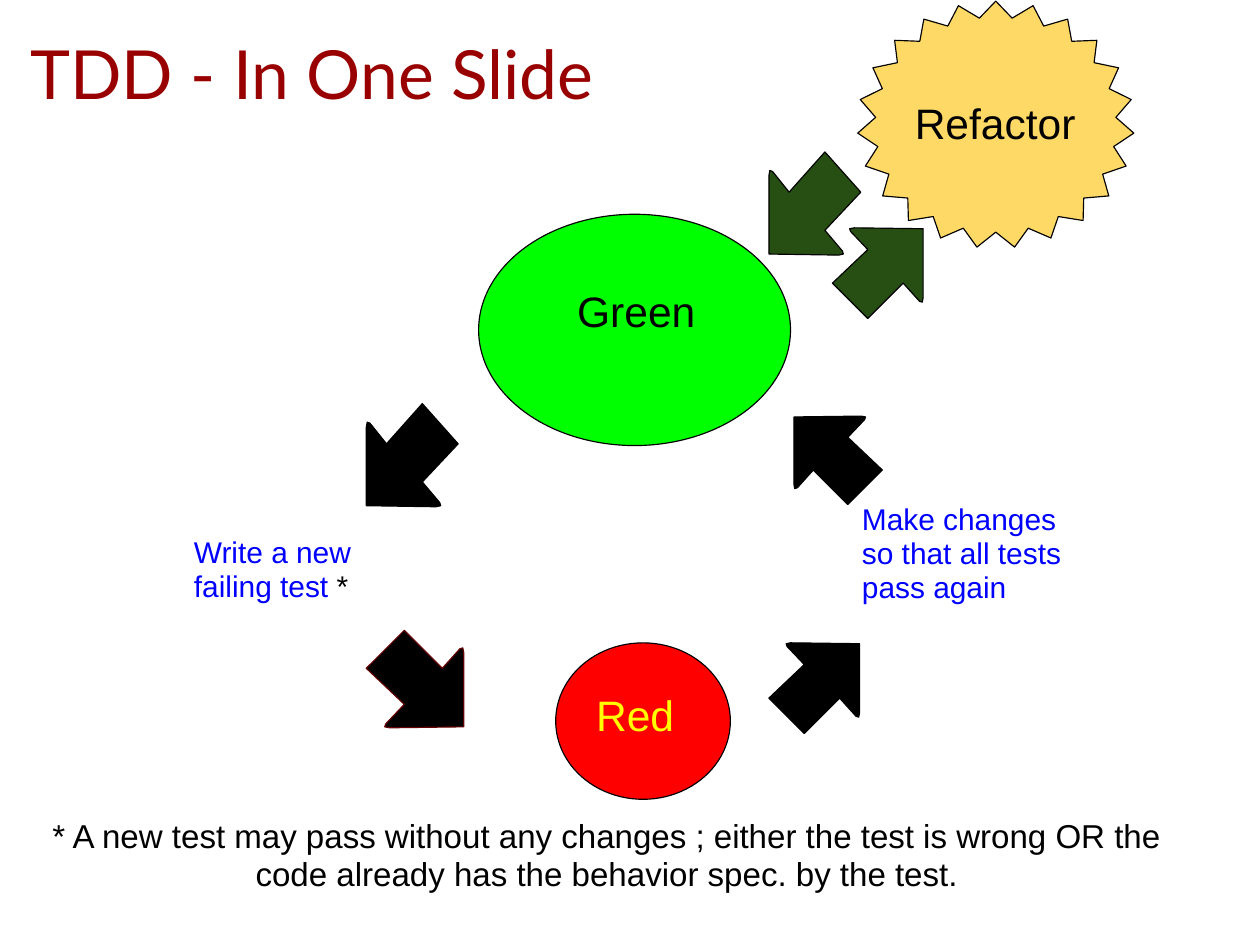
import math
from dataclasses import dataclass

import pptx
import pptx.dml.color
import pptx.enum.shapes
import pptx.enum.text
import pptx.util

Inches = pptx.util.Inches
Align = pptx.enum.text.PP_ALIGN

BLACK = "000000"
BLUE = "0000FF"
DARK_GREEN = "274E13"

# Outline of an arrow to the upper right, as fractions of its box
ARROW_OUTLINE = [
    (0, 0.61), (0.39, 0.24), (0.2, 0.04), (0.19, 0.01), (0.24, 0),
    (1, 0.01), (1, 0.77), (0.99, 0.82), (0.96, 0.81), (0.78, 0.61), (0.39, 1),
]


@dataclass
class Box:
    left: float
    top: float
    width: float
    height: float

    def inches(self) -> list:
        return [Inches(v) for v in (self.left, self.top, self.width, self.height)]


@dataclass
class Arrow:
    box: Box
    to_left: bool
    to_bottom: bool
    fill: str = BLACK
    line: str = BLACK


@dataclass
class State:
    name: str
    ellipse: Box
    label: Box
    fill: str
    text_color: str


ARROWS = [
    Arrow(Box(3.23, 3.56, 0.81, 0.91), True, True),
    Arrow(Box(3.23, 5.56, 0.86, 0.86), False, True, line="660000"),
    Arrow(Box(6.78, 5.67, 0.8, 0.8), False, False),
    Arrow(Box(7, 3.67, 0.78, 0.78), True, False),
    Arrow(Box(7.34, 2.01, 0.8, 0.8), False, False, DARK_GREEN),
    Arrow(Box(6.78, 1.34, 0.81, 0.91), True, True, DARK_GREEN),
]
STATES = [
    State("Red", Box(4.9, 5.67, 1.54, 1.38), Box(5.05, 6.11, 1.1, 0.43), "FF0000", "FFFF00"),
    State("Green", Box(4.22, 1.89, 2.75, 2.04), Box(5, 2.55, 1.22, 0.43), "00FF00", BLACK),
]


def rgb(color: str) -> pptx.dml.color.RGBColor:
    return pptx.dml.color.RGBColor.from_string(color)


def paint(shape, fill: str, line: str = BLACK) -> None:
    shape.shadow.inherit = False
    shape.fill.solid()
    shape.fill.fore_color.rgb = rgb(fill)
    shape.line.color.rgb = rgb(line)
    shape.line.width = pptx.util.Pt(0.75)


def add_text(slide, text: str, box: Box, *, size: float, color: str = BLACK,
             font: str = "Arial", align=Align.LEFT, black_ending: str = "") -> None:
    frame = slide.shapes.add_textbox(*box.inches()).text_frame
    frame.word_wrap = True
    frame.margin_left = frame.margin_top = frame.margin_right = frame.margin_bottom = 0
    paragraph = frame.paragraphs[0]
    paragraph.alignment = align
    paragraph.line_spacing = 0.95
    for words, words_color in ((text, color), (black_ending, BLACK)):
        if words:
            run = paragraph.add_run()
            run.text = words
            run.font.name = font
            run.font.size = pptx.util.Pt(size)
            run.font.color.rgb = rgb(words_color)


def add_outline(slide, points: list[tuple[float, float]], fill: str, line: str = BLACK) -> None:
    """Draw a closed polygon through points given in inches."""
    corners = [(Inches(x), Inches(y)) for x, y in points]
    builder = slide.shapes.build_freeform(*corners[0])
    builder.add_line_segments(corners[1:], close=True)
    paint(builder.convert_to_shape(), fill, line)


def add_arrow(slide, arrow: Arrow) -> None:
    box = arrow.box
    points = [
        (box.left + box.width * (1 - x if arrow.to_left else x),
         box.top + box.height * (1 - y if arrow.to_bottom else y))
        for x, y in ARROW_OUTLINE
    ]
    add_outline(slide, points, arrow.fill, arrow.line)


def add_starburst(slide, center: tuple[float, float], radii: tuple[float, float],
                  tips: int, inner_ratio: float, fill: str) -> None:
    points = []
    for i in range(2 * tips):
        angle = math.pi * i / tips
        reach = inner_ratio if i % 2 else 1
        points.append((center[0] + radii[0] * reach * math.sin(angle),
                       center[1] - radii[1] * reach * math.cos(angle)))
    add_outline(slide, points, fill)


def add_state(slide, state: State) -> None:
    ellipse = slide.shapes.add_shape(
        pptx.enum.shapes.MSO_SHAPE.OVAL, *state.ellipse.inches())
    paint(ellipse, state.fill)
    add_text(slide, state.name, state.label, size=27, color=state.text_color,
             align=Align.CENTER)


def main() -> None:
    deck = pptx.Presentation()
    deck.slide_width, deck.slide_height = Inches(11.11), Inches(8.335)
    slide = deck.slides.add_slide(deck.slide_layouts[6])

    add_text(slide, "TDD - In One Slide", Box(0.27, 0.33, 10.57, 1),
             size=43, color="990000", font="Lato")
    add_text(slide, "* A new test may pass without any changes ; either the test is wrong "
             "OR the code already has the behavior spec. by the test.",
             Box(0.14, 7.22, 10.42, 0.67), size=21, align=Align.CENTER)

    add_starburst(slide, (8.78, 1.1), (1.22, 1.09), 23, 0.87, "FFD966")
    for state in STATES:
        add_state(slide, state)
    add_text(slide, "Refactor", Box(7.94, 0.89, 1.67, 0.43), size=27, align=Align.CENTER)
    for arrow in ARROWS:
        add_arrow(slide, arrow)

    add_text(slide, "Make changes so that all tests pass again",
             Box(7.6, 4.44, 2.01, 0.9), size=19, color=BLUE)
    add_text(slide, "Write a new failing test", Box(1.71, 4.73, 2.01, 0.6),
             size=19, color=BLUE, black_ending=" *")

    deck.save("out.pptx")


if __name__ == "__main__":
    main()
